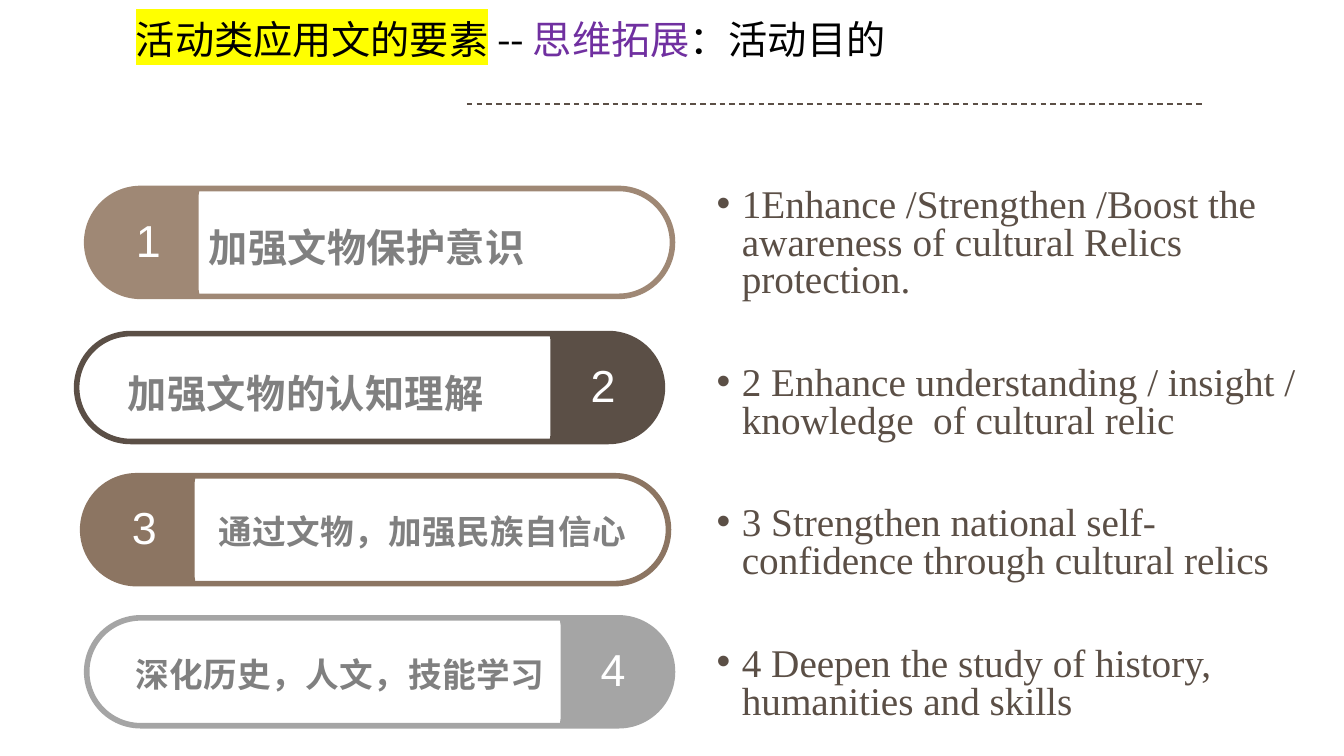
import math

import pptx
import pptx.util
import pptx.dml.color
import pptx.enum.dml
import pptx.enum.shapes
import pptx.enum.text
import pptx.oxml
import pptx.oxml.ns

Inches, Pt = pptx.util.Inches, pptx.util.Pt

COLORS = {
    "tan": "9F8875", "dark": "5B4F46", "brown": "8C7562", "silver": "A5A5A5",
    "label": "808080", "white": "FFFFFF", "black": "000000",
    "purple": "7030A0", "yellow": "FFFF00",
}
CJK, SANS, SERIF = "Noto Sans CJK SC", "Arial", "Times New Roman"
PILL_SIZE = (5.81, 1.07)
CAP_WIDTH, CAP_RADIUS = 1.12, 0.61

TITLE = [("活动类应用文的要素", "black", "yellow"), (" -- ", "black", None),
         ("思维拓展", "purple", None), ("：活动目的", "black", None)]
# left, top, colour, cap on the right, label, label size, label box
GOALS = [
    (0.86, 1.87, "tan", False, "加强文物保护意识", 28, (1.97, 2.03, 4.45, 0.66)),
    (0.76, 3.31, "dark", True, "加强文物的认知理解", 28, (1.17, 3.47, 4.29, 0.66)),
    (0.82, 4.72, "brown", False, "通过文物，加强民族自信心", 24, (2.07, 4.9, 4.6, 0.58)),
    (0.86, 6.13, "silver", True, "深化历史，人文，技能学习", 24, (1.25, 6.32, 4.84, 0.58)),
]
PHRASES = [
    "1Enhance /Strengthen /Boost the awareness of cultural Relics protection.",
    "2 Enhance understanding / insight / knowledge  of cultural relic",
    "3 Strengthen national self-confidence through cultural relics",
    "4 Deepen the study of history, humanities and skills",
]


def rgb(color):
    return pptx.dml.color.RGBColor.from_string(COLORS[color])


def xml(tag, **attributes):
    element = pptx.oxml.parse_xml(f"<a:{tag} {pptx.oxml.ns.nsdecls('a')}/>")
    for key, value in attributes.items():
        element.set(key, value)
    return element


def apply_format(target, settings):
    for key, value in settings.items():
        setattr(target, key, value)


def add_run(paragraph, text, size, font, color, bold=False, highlight=None):
    run = paragraph.add_run()
    run.text = text
    apply_format(run.font, {"size": Pt(size), "bold": bold, "name": font})
    run.font.color.rgb = rgb(color)
    latin = run.font._element.find(pptx.oxml.ns.qn("a:latin"))
    latin.addnext(xml("ea", typeface=font))
    if highlight:
        marker = xml("highlight")
        marker.append(xml("srgbClr", val=COLORS[highlight]))
        latin.addprevious(marker)
    return run


def add_text_box(slide, box, **settings):
    frame = slide.shapes.add_textbox(*map(Inches, box)).text_frame
    apply_format(frame, {"word_wrap": True, **settings})
    return frame


def add_title(slide, box):
    paragraph = add_text_box(slide, box, margin_top=0).paragraphs[0]
    paragraph.line_spacing = 0.9
    for text, color, highlight in TITLE:
        add_run(paragraph, text, 28, CJK, color, highlight=highlight)


def add_divider(slide, left, right, top):
    divider = slide.shapes.add_connector(
        pptx.enum.shapes.MSO_CONNECTOR.STRAIGHT,
        *map(Inches, (left, top, right, top)))
    divider.line.color.rgb = rgb("dark")
    apply_format(divider.line, {"width": Pt(1),
                                "dash_style": pptx.enum.dml.MSO_LINE.DASH})
    divider._element.spPr.append(xml("effectLst"))


def add_cap(slide, outer, top, direction, color):
    """Rounded end of a pill, growing from its outer edge inwards."""
    height = PILL_SIZE[1]
    outline = [(CAP_WIDTH, 0), (CAP_WIDTH - 0.01, 0.07),
               (CAP_WIDTH - 0.01, height - 0.07), (CAP_WIDTH, height)]
    for step in range(31):
        angle = math.pi * step / 30
        outline.append((CAP_RADIUS * (1 - math.sin(angle)),
                        height / 2 * (1 + math.cos(angle))))
    points = [(Inches(outer + direction * x), Inches(top + y)) for x, y in outline]
    builder = slide.shapes.build_freeform(*points[0])
    builder.add_line_segments(points[1:], close=True)
    cap = builder.convert_to_shape()
    cap.shadow.inherit = False
    cap.fill.solid()
    cap.fill.fore_color.rgb = rgb(color)
    cap.line.fill.background()


def add_goal(slide, number, goal):
    left, top, color, cap_right, label, size, label_box = goal
    width, height = PILL_SIZE
    # Outlined pill with its solid end
    pill = slide.shapes.add_shape(
        pptx.enum.shapes.MSO_SHAPE.ROUNDED_RECTANGLE,
        *map(Inches, (left, top, width, height)))
    pill.adjustments[0] = 0.5
    pill.shadow.inherit = False
    pill.fill.background()
    pill.line.color.rgb = rgb(color)
    pill.line.width = Pt(4)
    add_cap(slide, left + width if cap_right else left, top,
            -1 if cap_right else 1, color)

    # Number and label
    grow = {"auto_size": pptx.enum.text.MSO_AUTO_SIZE.SHAPE_TO_FIT_TEXT}
    number_left = left + (5 if cap_right else 0.39)
    number_frame = add_text_box(slide, (number_left, top + 0.19, 0.67, 0.64), **grow)
    add_run(number_frame.paragraphs[0], str(number), 32, SANS, "white")
    paragraph = add_text_box(slide, label_box, **grow).paragraphs[0]
    paragraph.line_spacing = 1.3
    run = add_run(paragraph, label, size, CJK, "label", bold=True)
    run.font._element.set("spc", "30")


def add_phrases(slide, box):
    frame = add_text_box(slide, box)
    for index, phrase in enumerate(PHRASES):
        paragraph = frame.add_paragraph() if index else frame.paragraphs[0]
        apply_format(paragraph, {"line_spacing": 0.8,
                                 "space_before": Pt(46.5 if index else 10)})
        properties = paragraph._p.get_or_add_pPr()
        properties.set("marL", str(Inches(0.25)))
        properties.set("indent", str(Inches(-0.25)))
        properties.append(xml("buFont", typeface=SANS))
        properties.append(xml("buChar", char="•"))
        add_run(paragraph, phrase, 28, SERIF, "dark")


def main():
    deck = pptx.Presentation()
    apply_format(deck, {"slide_width": Inches(13.33), "slide_height": Inches(7.5)})
    slide = deck.slides.add_slide(deck.slide_layouts[6])
    add_divider(slide, 4.63, 11.96, 1.03)
    add_title(slide, (1.25, 0.2, 7.8, 0.58))
    for number, goal in enumerate(GOALS, 1):
        add_goal(slide, number, goal)
    add_phrases(slide, (7.01, 1.82, 6.06, 5.57))
    deck.save("out.pptx")


if __name__ == "__main__":
    main()
